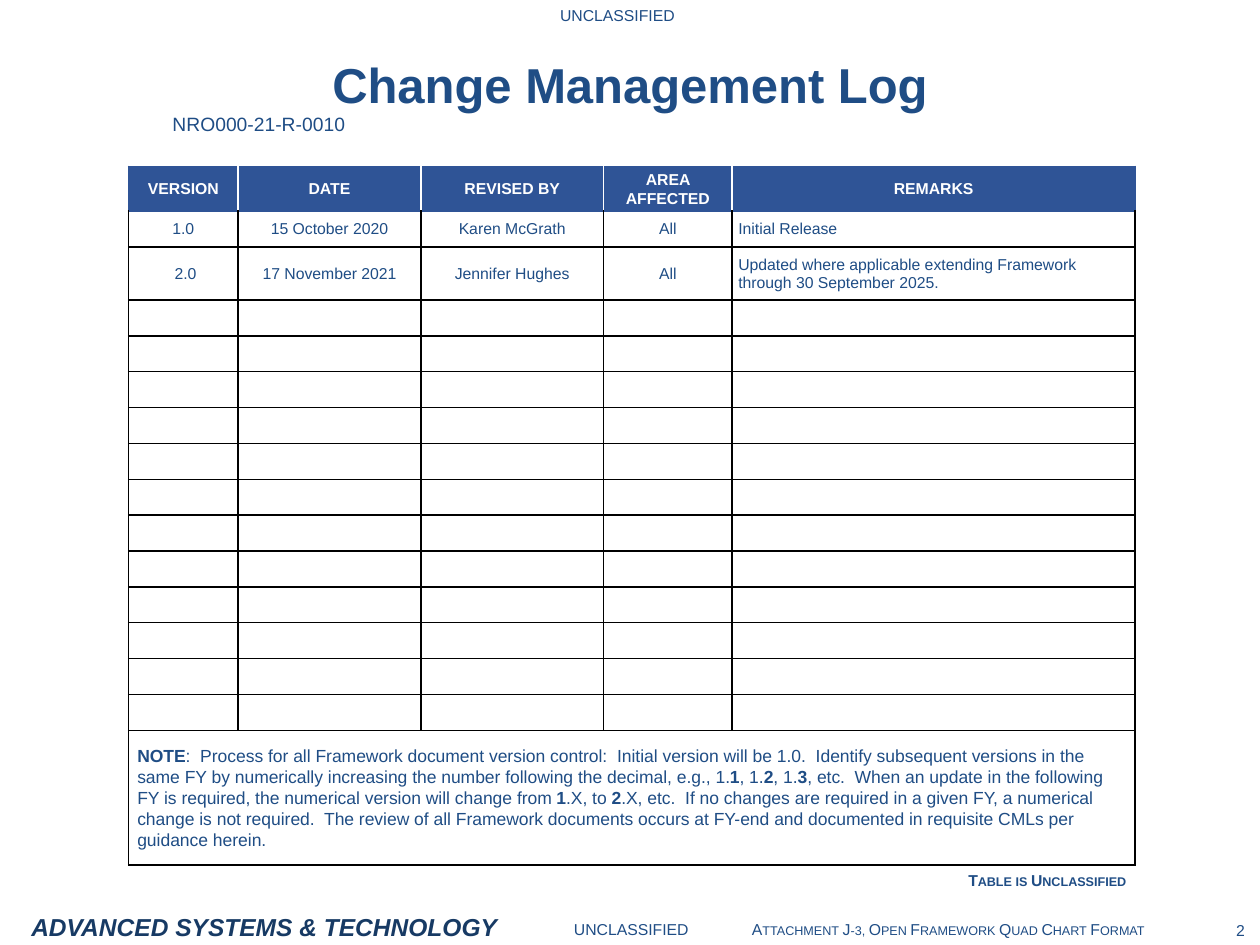
import pptx
import pptx.util
import pptx.dml.color
import pptx.enum.text
import pptx.oxml.ns
from lxml import etree

Inches, Pt = pptx.util.Inches, pptx.util.Pt
ALIGN = pptx.enum.text.PP_ALIGN
MIDDLE = pptx.enum.text.MSO_ANCHOR.MIDDLE
TOP = pptx.enum.text.MSO_ANCHOR.TOP
COLORS = {"text": "1F4D85", "division": "173A64", "header": "2F5496",
          "white": "FFFFFF", "grid": "000000"}


def style_run(run, size, color="text", bold=False, italic=False, small_caps=False):
    """Give a run its Arial style."""
    run.font.name = "Arial"
    run.font.size = Pt(size)
    run.font.bold = bold
    run.font.italic = italic
    run.font.color.rgb = pptx.dml.color.RGBColor.from_string(COLORS[color])
    if small_caps:
        run.font._element.set("cap", "small")


def add_border(cell, side, color, width=1):
    """Draw one cell edge; a color of None hides it."""
    edge = etree.SubElement(cell._tc.get_or_add_tcPr(), pptx.oxml.ns.qn("a:ln" + side))
    edge.set("w", str(Pt(width)))
    if color is None:
        etree.SubElement(edge, pptx.oxml.ns.qn("a:noFill"))
    else:
        fill = etree.SubElement(edge, pptx.oxml.ns.qn("a:solidFill"))
        etree.SubElement(fill, pptx.oxml.ns.qn("a:srgbClr")).set("val", COLORS[color])


deck = pptx.Presentation()
deck.slide_width, deck.slide_height = Inches(10), Inches(7.5)
slide = deck.slides.add_slide(deck.slide_layouts[6])

# Title, markings and footer: text, box, alignment, anchor, wrap, style
labels = [
    ("ADVANCED SYSTEMS & TECHNOLOGY", (0.15, 7.19, 4.84, 0.34), ALIGN.LEFT, TOP, True,
     dict(size=14, color="division", bold=True, italic=True)),
    ("UNCLASSIFIED", (0, 0, 9.8, 0.25), ALIGN.CENTER, TOP, True, dict(size=9)),
    ("UNCLASSIFIED", (0.01, 7.25, 10, 0.25), ALIGN.CENTER, TOP, True, dict(size=9)),
    ("2", (9.62, 7.26, 0.36, 0.25), ALIGN.RIGHT, TOP, False, dict(size=9)),
    ("NRO000-21-R-0010", (1.27, 0.84, 1.58, 0.29), ALIGN.LEFT, MIDDLE, False, dict(size=11)),
    ("Attachment J-3, Open Framework Quad Chart Format", (5.87, 7.25, 3.44, 0.25),
     ALIGN.LEFT, MIDDLE, False, dict(size=9, small_caps=True)),
    ("Change Management Log", (1.21, 0.29, 7.58, 0.75), ALIGN.CENTER, MIDDLE, True,
     dict(size=28, bold=True)),
]
for text, box, align, anchor, wrap, style in labels:
    frame = slide.shapes.add_textbox(*map(Inches, box)).text_frame
    frame.word_wrap = wrap
    frame.vertical_anchor = anchor
    frame.text = text
    frame.paragraphs[0].alignment = align
    style_run(frame.paragraphs[0].runs[0], **style)

# Log table: header, revisions, empty rows, note, marking
revisions = [
    ["VERSION", "DATE", "REVISED BY", "AREA AFFECTED", "REMARKS"],
    ["1.0", "15 October 2020", "Karen McGrath", "All", "Initial Release"],
    ["\u00a02.0", "17 November 2021", "Jennifer Hughes", "All",
     "Updated where applicable extending Framework through 30 September 2025."],
]
note = [
    "NOTE", ":  Process for all Framework document version control:  Initial version will "
    "be 1.0.  Identify subsequent versions in the same FY by numerically increasing the "
    "number following the decimal, e.g., 1.", "1", ", 1.", "2", ", 1.", "3",
    ", etc.  When an update in the following FY is required, the numerical version will "
    "change from ", "1", ".X, to ", "2",
    ".X, etc.  If no changes are required in a given FY, a numerical change is not "
    "required.  The review of all Framework documents occurs at FY-end and documented in "
    "requisite CMLs per guidance herein.",
]
column_widths = [0.87, 1.45, 1.45, 1.02, 3.2]
row_heights = [25.5, 20.5, 28.5] + [20.5] * 12 + [77, 18]
last_column = len(column_widths) - 1
marking_row = len(row_heights) - 1
note_row = marking_row - 1

log = slide.shapes.add_table(len(row_heights), len(column_widths), Inches(1.02), Inches(1.32),
                             Inches(sum(column_widths)), Pt(sum(row_heights))).table
log.first_row = log.horz_banding = False
for column, width in zip(log.columns, column_widths):
    column.width = Inches(width)
for row, height in zip(log.rows, row_heights):
    row.height = Pt(height)
for merged_row in (note_row, marking_row):
    log.cell(merged_row, 0).merge(log.cell(merged_row, last_column))

for r in range(len(row_heights)):
    for c in range(len(column_widths)):
        cell = log.cell(r, c)
        is_header = r == 0
        side_color = None if r == marking_row else "grid"
        add_border(cell, "L", ("white" if c else "header") if is_header else side_color)
        add_border(cell, "R", ("white" if c < last_column else "header") if is_header
                   else side_color)
        add_border(cell, "T", "header" if r < 2 else "grid", 1.5 if r == 2 else 1)
        add_border(cell, "B", "header" if is_header else side_color, 1.5 if r == 1 else 1)
        if is_header:
            cell.fill.solid()
            cell.fill.fore_color.rgb = pptx.dml.color.RGBColor.from_string(COLORS["header"])
        else:
            cell.fill.background()

        is_remark = c == last_column and r < note_row
        cell.vertical_anchor = MIDDLE
        cell.margin_left = cell.margin_right = Inches(0.05 if is_remark else 0.07)
        cell.margin_top = cell.margin_bottom = Inches(0.05 if is_remark else 0)
        paragraph = cell.text_frame.paragraphs[0]
        if r < len(revisions):
            paragraph.text = revisions[r][c]
            paragraph.alignment = ALIGN.LEFT if is_remark and not is_header else ALIGN.CENTER
            style_run(paragraph.runs[0], 9, "white" if is_header else "text", is_header)
        elif r == note_row and c == 0:
            for i, part in enumerate(note):
                run = paragraph.add_run()
                run.text = part
                style_run(run, 10, bold=i % 2 == 0)
        elif r == marking_row and c == 0:
            paragraph.text = "Table is Unclassified"
            paragraph.alignment = ALIGN.RIGHT
            style_run(paragraph.runs[0], 9, bold=True, small_caps=True)
        else:
            paragraph._p.get_or_add_endParaRPr().set("sz", "900")
            continue
        paragraph.line_spacing = 1.07
        paragraph.space_before = Pt(6)
        paragraph.space_after = Pt(0 if r == marking_row else 6)

deck.save("out.pptx")
